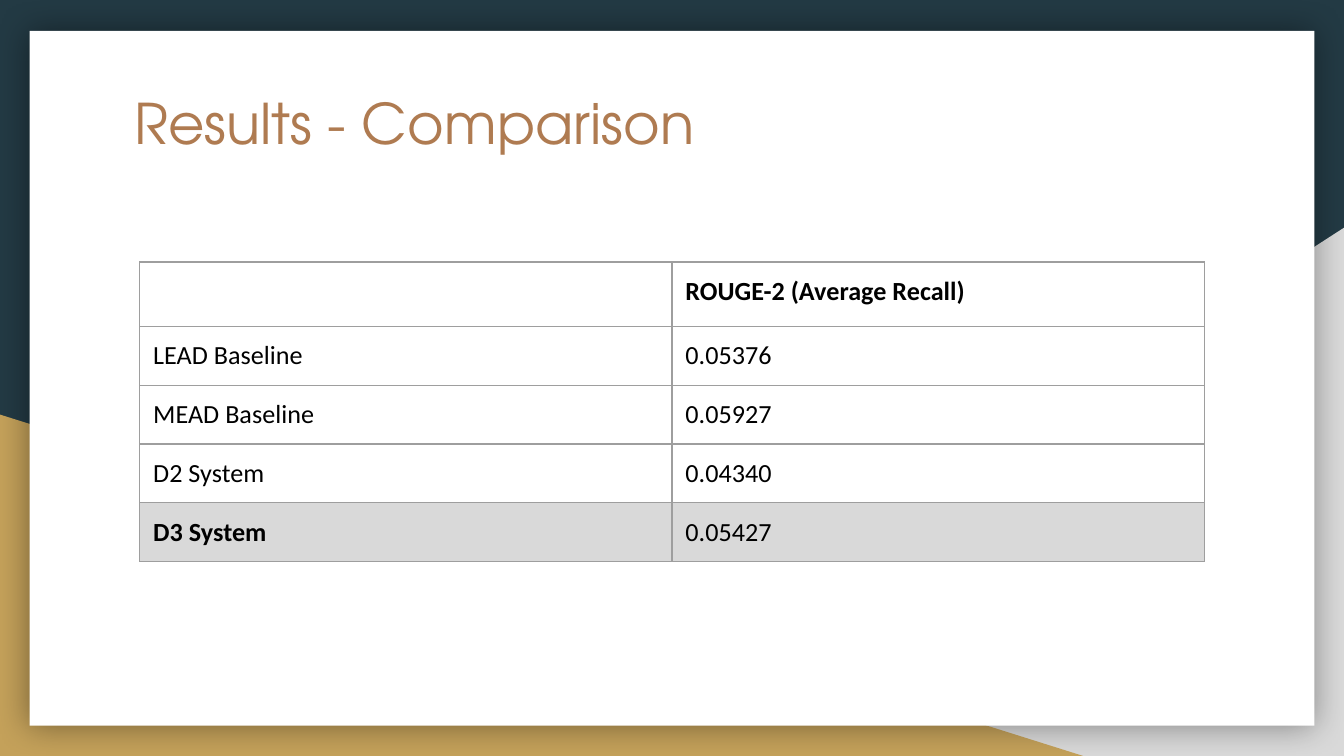
from lxml.etree import SubElement
from pptx import Presentation
from pptx.dml.color import RGBColor
from pptx.enum.shapes import MSO_SHAPE
from pptx.enum.text import MSO_ANCHOR, PP_ALIGN
from pptx.oxml.ns import qn
from pptx.util import Inches, Pt

NAVY = RGBColor(0x23, 0x3A, 0x44)
GOLD = RGBColor(0xC4, 0xA1, 0x5A)
BROWN = RGBColor(0xAF, 0x7B, 0x51)
SILVER = RGBColor(0xD9, 0xD9, 0xD9)
GRAY = RGBColor(0x9E, 0x9E, 0x9E)
WHITE = RGBColor(0xFF, 0xFF, 0xFF)
BLACK = RGBColor(0, 0, 0)

WIDE = 10
HIGH = WIDE * 9 / 16
PAD = Inches(0.1)
ROWS = [
    ("", "ROUGE-2 (Average Recall)"),
    ("LEAD Baseline", "0.05376"),
    ("MEAD Baseline", "0.05927"),
    ("D2 System", "0.04340"),
    ("D3 System", "0.05427"),
]
BOLD = {ROWS[0][1], ROWS[-1][0]}


def write(frame, text, size=14, font="Calibri", color=BLACK, bold=False):
    par = frame.paragraphs[0]
    par.alignment = PP_ALIGN.LEFT
    if not text:
        par._p.get_or_add_endParaRPr().set("sz", str(size * 100))
        return
    run = par.add_run()
    run.text = text
    run.font.size = Pt(size)
    run.font.name = font
    run.font.color.rgb = color
    run.font.bold = bold


def pad(box):
    box.margin_left = box.margin_right = PAD
    box.margin_top = box.margin_bottom = PAD
    box.vertical_anchor = MSO_ANCHOR.TOP


def block(slide, kind, left, top, width, height, color):
    shape = slide.shapes.add_shape(
        kind, Inches(left), Inches(top), Inches(width), Inches(height))
    shape.shadow.inherit = False
    shape.fill.solid()
    shape.fill.fore_color.rgb = color
    shape.line.fill.background()
    return shape


def glow(shape):
    effects = shape._element.spPr.find(qn("a:effectLst"))
    shade = SubElement(effects, qn("a:outerShdw"), blurRad=str(Pt(18)),
                       dist="0", dir="0", algn="ctr", rotWithShape="0")
    color = SubElement(shade, qn("a:srgbClr"), val=str(BLACK))
    SubElement(color, qn("a:alpha"), val="40000")


def frame(slide):
    slide.background.fill.solid()
    slide.background.fill.fore_color.rgb = NAVY
    right = block(slide, MSO_SHAPE.RIGHT_TRIANGLE,
                  WIDE - 6.08, HIGH - 3.93, 6.08, 3.93, SILVER)
    right._element.spPr.find(qn("a:xfrm")).set("flipH", "1")
    block(slide, MSO_SHAPE.RIGHT_TRIANGLE, 0, HIGH - 2.54, 8.06, 2.54, GOLD)
    glow(block(slide, MSO_SHAPE.RECTANGLE,
               0.22, 0.23, WIDE - 0.44, 5.17, WHITE))


def head(slide, text):
    title = slide.shapes.title
    title.left, title.top = Inches(0.9), Inches(0.56)
    title.width, title.height = Inches(8.21), Inches(1.04)
    pad(title.text_frame)
    title.text_frame.word_wrap = True
    write(title.text_frame, text, size=30, font="TeX Gyre Adventor", color=BROWN)
    slide.shapes._spTree.append(title._element)


def edge(cell):
    props = cell._tc.get_or_add_tcPr()
    for side in ("lnL", "lnR", "lnT", "lnB"):
        line = SubElement(props, qn(f"a:{side}"), w=str(Pt(0.75)))
        fill = SubElement(line, qn("a:solidFill"))
        SubElement(fill, qn("a:srgbClr"), val=str(GRAY))


def grid(slide, rows):
    count = len(rows)
    table = slide.shapes.add_table(
        count, len(rows[0]), Inches(1.04), Inches(1.95),
        Inches(7.92), Inches(0.42 * count)).table
    table.first_row = table.horz_banding = False
    for row in table.rows:
        row.height = Inches(0.42)
    table.rows[0].height = Inches(0.48)
    for r, row in enumerate(rows):
        for c, text in enumerate(row):
            cell = table.cell(r, c)
            pad(cell)
            edge(cell)
            cell.fill.solid()
            cell.fill.fore_color.rgb = SILVER if r == count - 1 else WHITE
            write(cell.text_frame, text, bold=text in BOLD)


def main():
    deck = Presentation()
    deck.slide_width, deck.slide_height = Inches(WIDE), Inches(HIGH)
    slide = deck.slides.add_slide(deck.slide_layouts[5])
    frame(slide)
    head(slide, "Results - Comparison")
    grid(slide, ROWS)
    deck.save("out.pptx")


if __name__ == "__main__":
    main()
